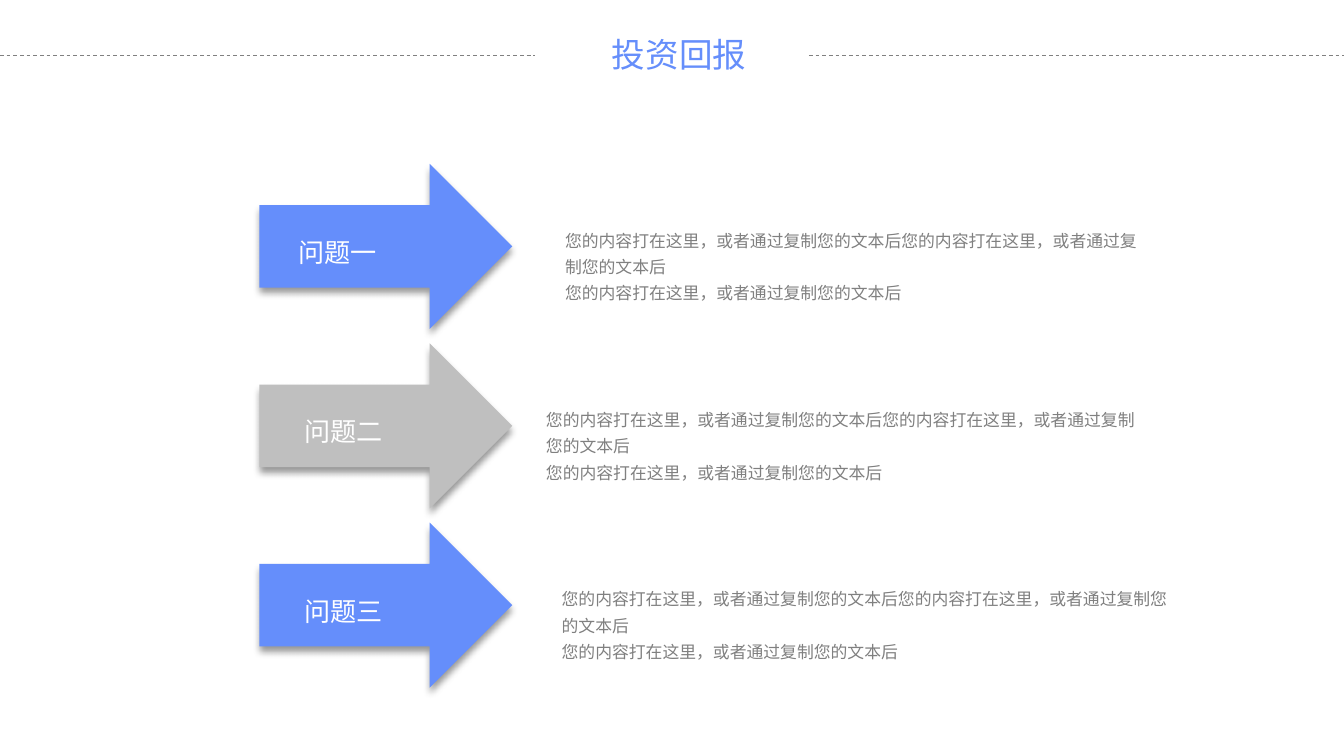
"""Build the return-on-investment slide with three arrows and their notes."""
from lxml import etree
from pptx import Presentation
from pptx.dml.color import RGBColor
from pptx.enum.dml import MSO_LINE
from pptx.enum.shapes import MSO_CONNECTOR, MSO_SHAPE
from pptx.enum.text import MSO_AUTO_SIZE
from pptx.oxml.ns import qn
from pptx.util import Pt

DASH = MSO_LINE.DASH
STRAIGHT = MSO_CONNECTOR.STRAIGHT
RIGHT_ARROW = MSO_SHAPE.RIGHT_ARROW
FIT_SHAPE = MSO_AUTO_SIZE.SHAPE_TO_FIT_TEXT

BLUE, SILVER, GRAY, WHITE = "658EFB", "BFBFBF", "808080", "FFFFFF"
FONT = "Noto Sans CJK SC"
SLIDE_WIDTH, SLIDE_HEIGHT = 720, 405

TITLE = "投资回报"
SENTENCE = "您的内容打在这里，或者通过复制您的文本后"
NOTES = [SENTENCE * 2, SENTENCE]
ITEMS = [
    {"label": "问题一", "fill": BLUE, "label_left": 154.8, "note_left": 297.5, "note_width": 323.3},
    {"label": "问题二", "fill": SILVER, "label_left": 157.7, "note_left": 287.3, "note_width": 334},
    {"label": "问题三", "fill": BLUE, "label_left": 157.7, "note_left": 295.7, "note_width": 336.2},
]
ARROW_LEFT, ARROW_TOP, ARROW_WIDTH, ARROW_HEIGHT = 139, 87.8, 135.4, 88.4
ROW_PITCH = 96.1
LABEL_OFFSET, LABEL_WIDTH, LABEL_HEIGHT = 31.1, 114.5, 25.2
NOTE_OFFSET, NOTE_HEIGHT = 29.8, 60.5
RULE_TOP, RULE_WIDTH = 29.7, 286.6
INSETS = {"margin_left": 5.2, "margin_right": 5.2, "margin_top": 2.6, "margin_bottom": 2.6}


def color(value):
    return RGBColor.from_string(value)


def add_text(slide, box, lines, size, fill, spacing=None, wrap=True):
    frame = slide.shapes.add_textbox(*map(Pt, box)).text_frame
    for name, value in INSETS.items():
        setattr(frame, name, Pt(value))
    frame.word_wrap = wrap
    frame.auto_size = FIT_SHAPE
    for index, line in enumerate(lines):
        paragraph = frame.add_paragraph() if index else frame.paragraphs[0]
        paragraph.line_spacing = spacing
        run = paragraph.add_run()
        run.text = line
        for name, value in {"name": FONT, "size": Pt(size)}.items():
            setattr(run.font, name, value)
        run.font.color.rgb = color(fill)
        etree.SubElement(run.font._element, qn("a:ea"), typeface=FONT)


def add_rule(slide, left):
    rule = slide.shapes.add_connector(
        STRAIGHT, Pt(left), Pt(RULE_TOP), Pt(left + RULE_WIDTH), Pt(RULE_TOP))
    for name, value in {"width": Pt(0.5), "dash_style": DASH}.items():
        setattr(rule.line, name, value)
    rule.line.color.rgb = color(GRAY)
    etree.SubElement(rule._element.spPr, qn("a:effectLst"))


def add_arrow(slide, top, fill):
    arrow = slide.shapes.add_shape(
        RIGHT_ARROW, *map(Pt, (ARROW_LEFT, top, ARROW_WIDTH, ARROW_HEIGHT)))
    arrow.fill.solid()
    arrow.fill.fore_color.rgb = color(fill)
    arrow.line.fill.background()
    arrow.shadow.inherit = False
    effects = arrow._element.spPr.find(qn("a:effectLst"))
    shadow = etree.SubElement(
        effects, qn("a:outerShdw"), blurRad=str(Pt(4)), dist=str(Pt(3)),
        dir="5400000", rotWithShape="0")
    shade = etree.SubElement(shadow, qn("a:srgbClr"), val="000000")
    etree.SubElement(shade, qn("a:alpha"), val="40000")


def main():
    presentation = Presentation()
    presentation.slide_width = Pt(SLIDE_WIDTH)
    presentation.slide_height = Pt(SLIDE_HEIGHT)
    slide = presentation.slides.add_slide(presentation.slide_layouts[6])
    add_text(slide, (322.6, 15.8, 83.5, 27.4), [TITLE], 18, BLUE, wrap=False)
    for left in (0, SLIDE_WIDTH - RULE_WIDTH):
        add_rule(slide, left)
    for row, item in enumerate(ITEMS):
        top = ARROW_TOP + row * ROW_PITCH
        add_arrow(slide, top, item["fill"])
        label_box = (item["label_left"], top + LABEL_OFFSET, LABEL_WIDTH, LABEL_HEIGHT)
        add_text(slide, label_box, [item["label"]], 14, WHITE, 1.3)
        note_box = (item["note_left"], top + NOTE_OFFSET, item["note_width"], NOTE_HEIGHT)
        add_text(slide, note_box, NOTES, 9, GRAY, 1.3)
    presentation.save("out.pptx")


if __name__ == "__main__":
    main()
